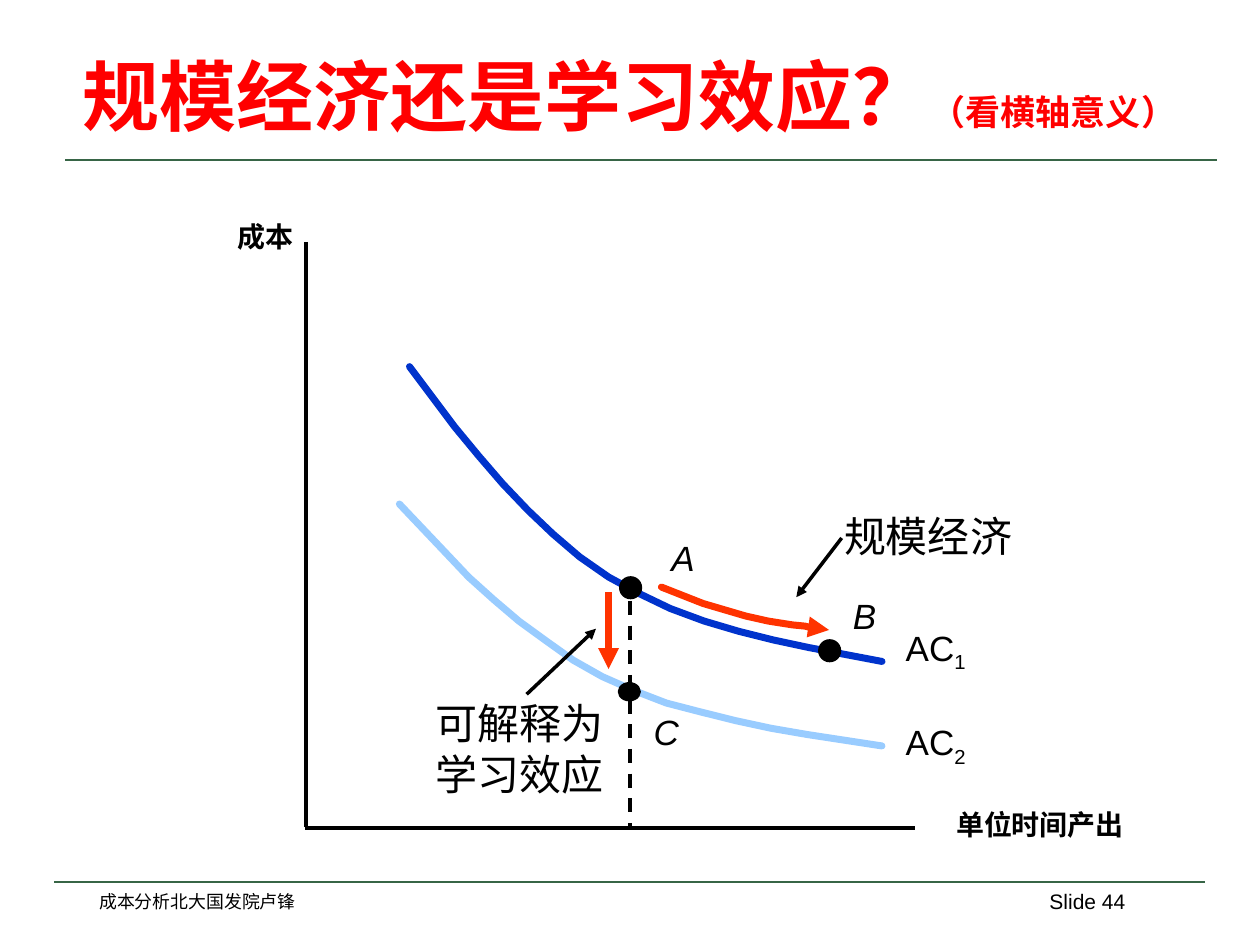
"""Build a slide on scale economies versus learning effects."""
import pptx
import pptx.dml.color
import pptx.enum.dml
import pptx.enum.shapes
import pptx.enum.text
import pptx.oxml
import pptx.oxml.ns
import pptx.util

Inches, Pt = pptx.util.Inches, pptx.util.Pt
RGB = pptx.dml.color.RGBColor
ALIGN = pptx.enum.text.PP_ALIGN
LEFT, RIGHT = ALIGN.LEFT, ALIGN.RIGHT
BLACK = RGB(0, 0, 0)
RED = RGB(0xFF, 0, 0)
GREEN = RGB(0x37, 0x65, 0x46)
BLUE = RGB(0, 0x33, 0xCC)
SKY = RGB(0x99, 0xCC, 0xFF)
ORANGE = RGB(0xFF, 0x33, 0)

CURVES = [
    ([(3.25, 2.91), (3.61, 3.39), (3.8, 3.62), (3.99, 3.84), (4.19, 4.05),
      (4.39, 4.24), (4.6, 4.42), (4.83, 4.58), (5.07, 4.71), (5.32, 4.83),
      (5.59, 4.93), (5.86, 5.01), (6.14, 5.08), (6.42, 5.14), (7, 5.25)],
     BLUE, False),
    ([(5.25, 4.66), (5.58, 4.79), (5.75, 4.84), (5.92, 4.89), (6.1, 4.93),
      (6.29, 4.96), (6.39, 4.97), (6.47, 4.99), (6.53, 4.99), (6.58, 5)],
     ORANGE, True),
    ([(3.17, 4), (3.54, 4.39), (3.72, 4.58), (3.92, 4.76), (4.12, 4.93),
      (4.34, 5.09), (4.55, 5.24), (4.78, 5.37), (5.03, 5.48), (5.29, 5.58),
      (5.56, 5.65), (5.84, 5.72), (6.12, 5.78), (6.41, 5.83), (7, 5.92)],
     SKY, False),
]
LINES = [
    ((0.52, 1.27), (9.66, 1.27), GREEN, 1.5, False, False),
    ((0.43, 7), (9.56, 7), GREEN, 1.5, False, False),
    ((2.43, 1.92), (2.43, 6.56), BLACK, 2, False, False),
    ((2.42, 6.57), (7.26, 6.57), BLACK, 2, False, False),
    ((5, 4.77), (5, 6.57), BLACK, 2, False, True),
    ((6.68, 4.27), (6.32, 4.74), BLACK, 2, True, False),
    ((4.18, 5.51), (4.73, 4.99), BLACK, 2, True, False),
    ((4.83, 4.7), (4.83, 5.31), ORANGE, 4, True, False),
]
DOTS = [(4.92, 4.58, 0.17, 0.17), (6.5, 5.08, 0.17, 0.17),
        (4.91, 5.42, 0.17, 0.14)]
TEXTS = [
    ((0.69, 7.02, 6.16, 0.27), "成本分析北大国发院卢锋", 10.2, "", LEFT, True),
    ((7.83, 7, 1.2, 0.5), "Slide 44", 12, "", RIGHT, True),
    ((7.49, 6.36, 1.53, 0.36), "单位时间产出", 16, "b", LEFT, False),
    ((1.79, 1.69, 0.64, 0.36), "成本", 16, "b", RIGHT, False),
    ((6.67, 4.67, 0.38, 0.43), "B", 20, "i", LEFT, False),
    ((5.23, 4.21, 0.38, 0.43), "A", 20, "i", LEFT, False),
    ((5.09, 5.59, 0.4, 0.43), "C", 20, "i", LEFT, False),
    ((6.6, 4, 1.95, 0.5), "规模经济", 24, "", LEFT, True),
    ((3.36, 5.49, 1.66, 0.9), "可解释为学习效应", 24, "", LEFT, True),
]
TITLE = ((0.56, 0.36, 9.05, 0.81), "规模经济还是学习效应？", "（看横轴意义）")
LABELS = [((7.09, 4.92, 0.8, 0.48), "1"), ((7.09, 5.67, 0.8, 0.48), "2")]

deck = pptx.Presentation()
deck.slide_width, deck.slide_height = Inches(10), Inches(7.5)
shapes = deck.slides.add_slide(deck.slide_layouts[6]).shapes


def stroke(shape, color, width, arrow=False, dash=False):
    shape.line.color.rgb = color
    shape.line.width = Pt(width)
    if dash:
        shape.line.dash_style = pptx.enum.dml.MSO_LINE.DASH
    if arrow:
        tail = pptx.oxml.parse_xml(
            "<a:tailEnd %s type='triangle'/>" % pptx.oxml.ns.nsdecls("a"))
        shape.line._get_or_add_ln().append(tail)


def write(box, text, size, style="", align=LEFT, wrap=True, color=BLACK):
    frame = shapes.add_textbox(*map(Inches, box)).text_frame
    frame.word_wrap = wrap
    para = frame.paragraphs[0]
    para.alignment = align
    para.add_run().text = text
    font = para.font
    font.name, font.size, font.color.rgb = "Arial", Pt(size), color
    font.bold, font.italic = "b" in style, "i" in style
    return frame


for points, color, arrow in CURVES:
    spots = [(Inches(x), Inches(y)) for x, y in points]
    path = shapes.build_freeform(*spots[0])
    path.add_line_segments(spots[1:], close=False)
    curve = path.convert_to_shape()
    curve.shadow.inherit = False
    curve.fill.background()
    stroke(curve, color, 4, arrow)
    curve.line._get_or_add_ln().set("cap", "rnd")

for start, end, *look in LINES:
    line = shapes.add_connector(pptx.enum.shapes.MSO_CONNECTOR.STRAIGHT,
                                *map(Inches, start + end))
    stroke(line, *look)
    line._element.spPr.append(pptx.oxml.parse_xml(
        "<a:effectLst %s/>" % pptx.oxml.ns.nsdecls("a")))

for box in DOTS:
    dot = shapes.add_shape(pptx.enum.shapes.MSO_SHAPE.OVAL, *map(Inches, box))
    dot.shadow.inherit = False
    dot.fill.solid()
    dot.fill.fore_color.rgb = BLACK
    stroke(dot, BLACK, 1)

for item in TEXTS:
    write(*item)

for box, index in LABELS:
    run = write(box, "AC", 20).paragraphs[0].add_run()
    run.text = index
    run.font._element.set("baseline", "-25000")

box, main, note = TITLE
frame = write(box, main, 44, "b", color=RED)
frame.vertical_anchor = pptx.enum.text.MSO_ANCHOR.BOTTOM
run = frame.paragraphs[0].add_run()
run.text, run.font.size = note, Pt(20)

deck.save("out.pptx")
